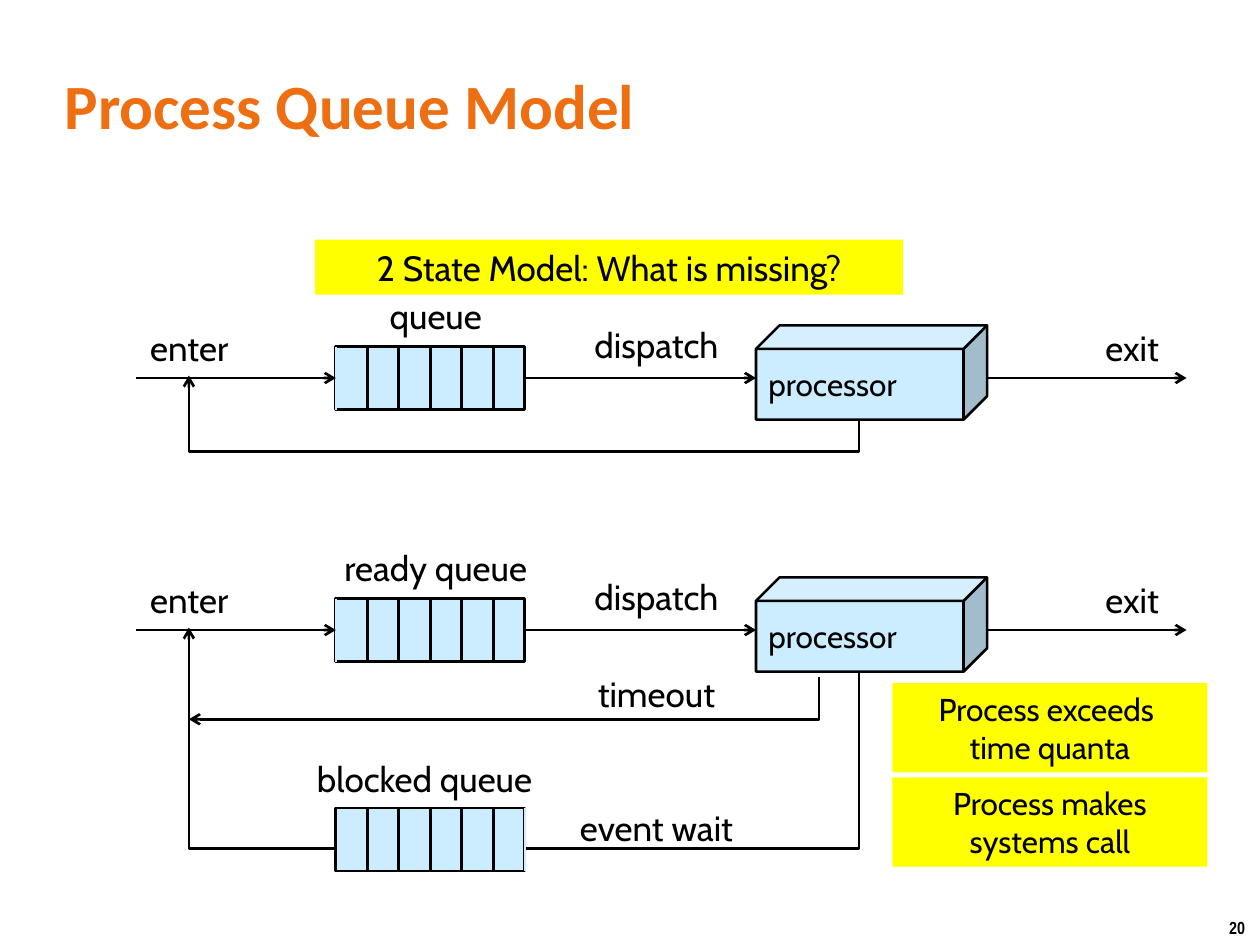
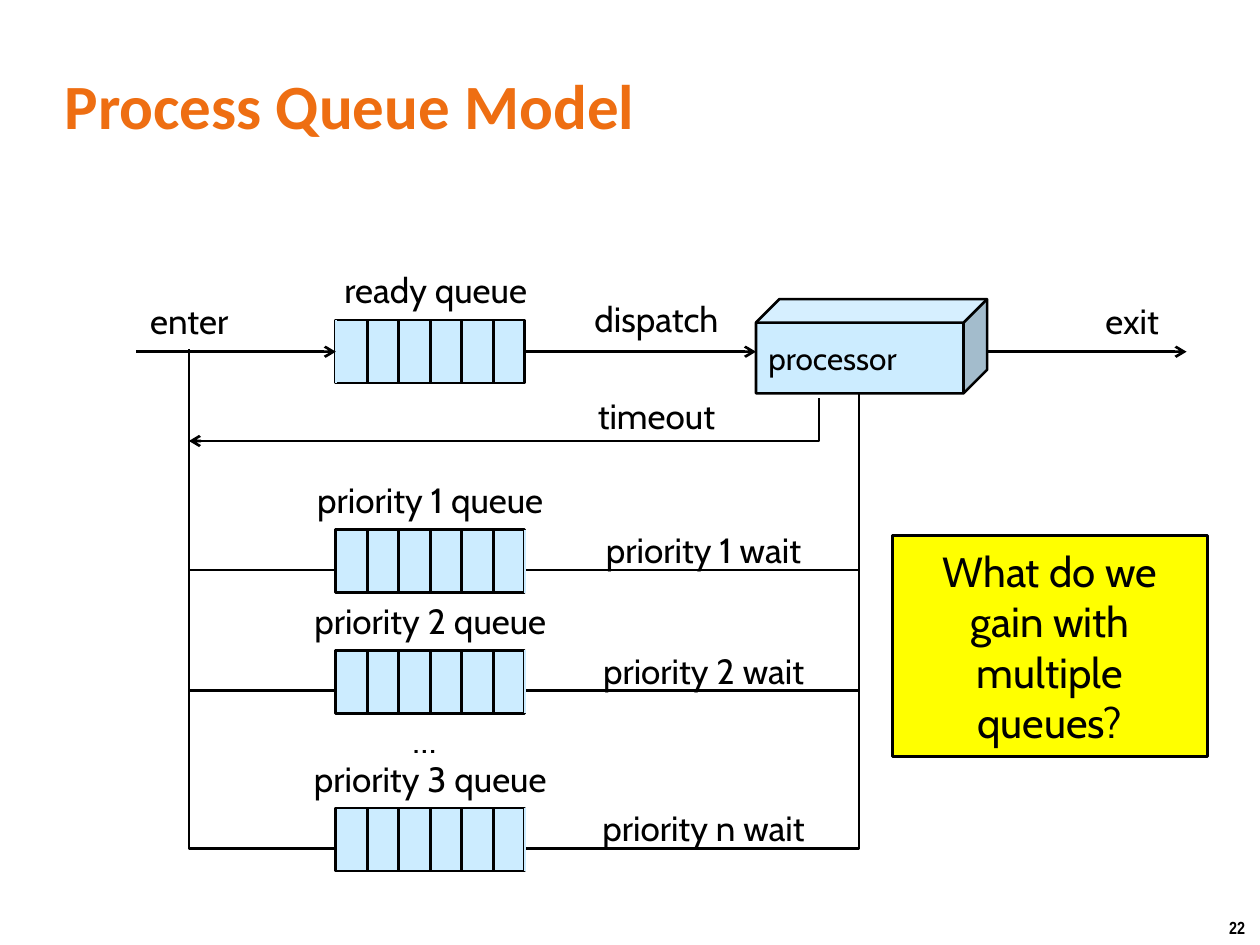
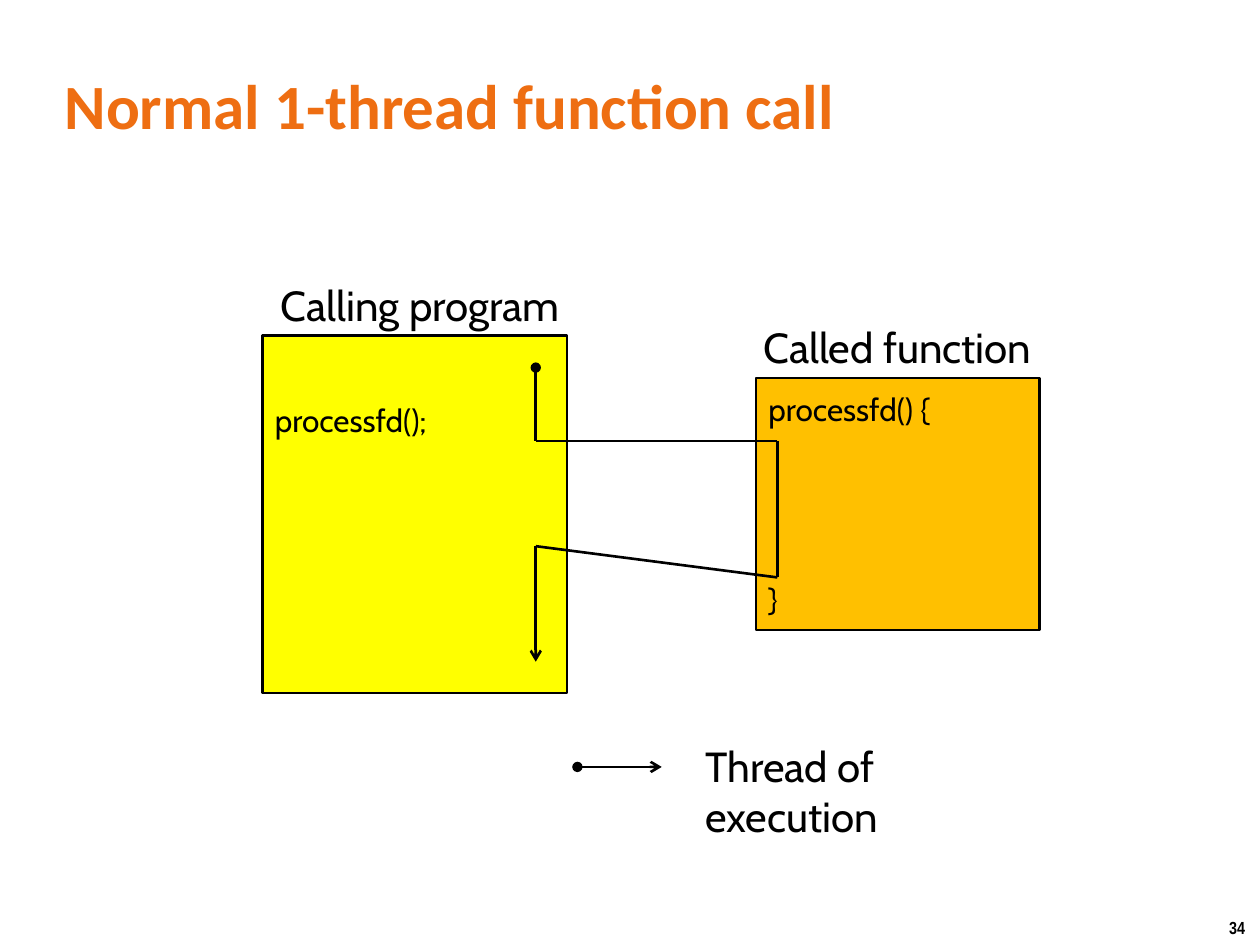
from lxml.etree import SubElement
from pptx import Presentation
from pptx.dml.color import RGBColor
from pptx.enum.shapes import MSO_CONNECTOR, MSO_SHAPE
from pptx.enum.text import MSO_ANCHOR, MSO_AUTO_SIZE, PP_ALIGN
from pptx.oxml.ns import qn
from pptx.util import Cm, Pt

BLACK = RGBColor(0x00, 0x00, 0x00)
ORANGE = RGBColor(0xEE, 0x6E, 0x12)
PALE_BLUE = RGBColor(0xCC, 0xEC, 0xFF)
YELLOW = RGBColor(0xFF, 0xFF, 0x00)
AMBER = RGBColor(0xFF, 0xC0, 0x00)
BODY_FONT = "Cabin"
TITLE_FONT = "Calibri"
NUMBER_FONT = "Arial Narrow"

# Content, all lengths in centimetres
QUEUE_TITLE = "Process Queue Model"
QUEUE_SLIDES = [
    {
        "number": "20",
        # flow axis, queue label, has timeout
        "flows": [(12.7, "ready queue", True), (7.62, "queue", False)],
        # height of the rail, its drop below the processor, arrowhead
        "returns": [(17.1, 3.56, True), (9.1, 0.64, True)],
        # rail, queue label, its width, wait label, its width
        "waiting": [(17.1, "blocked queue", 5.28, "event wait", 4.45)],
        "labels": [],
        # box, lines, size, outlined
        "notes": [
            ((6.35, 4.83, 11.86, 1.11), ["2 State Model: What is missing?"], 20, False),
            ((17.99, 13.77, 6.35, 1.8), ["Process exceeds ", "time quanta"], 18, False),
            ((17.99, 15.67, 6.35, 1.8), ["Process makes systems call"], 18, False),
        ],
    },
    {
        "number": "22",
        "flows": [(7.09, "ready queue", True)],
        "returns": [(11.49, 3.56, False), (13.92, 3.56, False), (17.1, 3.56, False)],
        "waiting": [
            (11.49, "priority 1 queue", 5.51, "priority 1 wait", 6.35),
            (13.92, "priority 2 queue", 5.51, "priority 2 wait", 6.35),
            (17.1, "priority 3 queue", 5.51, "priority n wait", 6.35),
        ],
        "labels": [("…", (5.92, 14.35, 5.28, 1.11))],
        "notes": [
            ((17.99, 10.8, 6.35, 4.45), ["What do we gain with multiple queues?"], 24, True),
        ],
    },
]

CALL_TITLE = "Normal 1-thread function call"
CALL_NUMBER = "34"
# box, fill, code lines, top margin, gap between lines in points
CODE_BOXES = [
    ((5.29, 6.77, 6.14, 7.2), YELLOW, ["processfd();"], 1.32, 0),
    ((15.24, 7.62, 5.72, 5.08), AMBER, ["processfd() {", "}"], 0.25, 86.5),
]
CODE_LABELS = [
    ("Calling program", (4.98, 5.5, 6.98, 1.27)),
    ("Called function", (14.6, 6.35, 6.98, 1.27)),
]
THREAD_POINTS = [(10.8, 7.41), (10.8, 8.89), (15.67, 8.89), (15.67, 11.64),
                 (10.8, 11.01), (10.8, 13.34)]
LEGEND_LINE = ((11.64, 15.46), (13.34, 15.46))
LEGEND_TEXT = ("Thread of execution", (13.97, 14.8, 6.98, 1.27))

# Fixed columns of the queue diagram
ENTER_X, RETURN_X = 2.75, 3.81
QUEUE_X, QUEUE_WIDTH, QUEUE_HEIGHT, CELLS = 6.77, 3.81, 1.27, 6
WAIT_X = 11.01
PROCESSOR_X, PROCESSOR_RIGHT = 15.24, 19.9
TIMEOUT_X, BLOCK_X = 16.51, 17.32
EXIT_X = 23.92
RETURN_RISE = 0.89


def lengths(box):
    return [Cm(value) for value in box]


def write(shape, lines, size, align=PP_ALIGN.LEFT, anchor=MSO_ANCHOR.TOP,
          font=BODY_FONT, color=BLACK, bold=False, wrap=True, gap=None):
    """Write lines into one paragraph, or into one paragraph each with a gap."""
    frame = shape.text_frame
    frame.auto_size = MSO_AUTO_SIZE.NONE
    frame.word_wrap = wrap
    frame.vertical_anchor = anchor
    paragraph = frame.paragraphs[0]
    for index, line in enumerate(lines):
        if index and gap is None:
            paragraph.add_line_break()
        elif index:
            paragraph = frame.add_paragraph()
            paragraph.space_before = Pt(gap)
        paragraph.alignment = align
        run = paragraph.add_run()
        run.text = line
        run.font.name = font
        run.font.size = Pt(size)
        run.font.bold = bold
        run.font.color.rgb = color


def add_label(slide, text, box, size=20, align=PP_ALIGN.CENTER, wrap=False, **style):
    write(slide.shapes.add_textbox(*lengths(box)), [text], size, align, wrap=wrap, **style)


def add_box(slide, box, fill, kind=MSO_SHAPE.RECTANGLE, outlined=True):
    shape = slide.shapes.add_shape(kind, *lengths(box))
    shape.shadow.inherit = False
    shape.fill.solid()
    shape.fill.fore_color.rgb = fill
    if outlined:
        shape.line.color.rgb = BLACK
        shape.line.width = Pt(1.5)
    else:
        shape.line.fill.background()
    return shape


def add_line(slide, start, end, color=BLACK, head=None, tail=None,
             kind=MSO_CONNECTOR.STRAIGHT):
    connector = slide.shapes.add_connector(kind, *lengths(start + end))
    connector.line.color.rgb = color
    connector.line.width = Pt(1.5)
    properties = connector._element.spPr
    outline = properties.find(qn("a:ln"))
    for tag, ending in (("a:headEnd", head), ("a:tailEnd", tail)):
        if ending:
            SubElement(outline, qn(tag), type=ending)
    SubElement(properties, qn("a:effectLst"))
    return connector


def bend(connector, share):
    """Place the elbow at a share of the connector's length."""
    geometry = connector._element.spPr.find(qn("a:prstGeom"))
    adjustments = geometry.find(qn("a:avLst"))
    if adjustments is None:
        adjustments = SubElement(geometry, qn("a:avLst"))
    SubElement(adjustments, qn("a:gd"), name="adj1", fmla=f"val {round(share * 100000)}")


def add_slide(presentation, title, number):
    slide = presentation.slides.add_slide(presentation.slide_layouts[5])
    shape = slide.shapes.title
    shape.left, shape.top, shape.width, shape.height = lengths((1.05, 1.05, 23.28, 2.12))
    write(shape, [title], 36, anchor=MSO_ANCHOR.MIDDLE,
          font=TITLE_FONT, color=ORANGE, bold=True)
    add_label(slide, number, (24.53, 18.36, 0.87, 0.69), 10, PP_ALIGN.LEFT,
              font=NUMBER_FONT, bold=True)
    return slide


def add_queue(slide, top, open_left):
    add_box(slide, (QUEUE_X, top, QUEUE_WIDTH, QUEUE_HEIGHT), PALE_BLUE)
    open_edge = 0 if open_left else CELLS
    for edge in [*range(1, CELLS), open_edge]:
        x = QUEUE_X + edge * QUEUE_WIDTH / CELLS
        add_line(slide, (x, top), (x, top + QUEUE_HEIGHT),
                 PALE_BLUE if edge == open_edge else BLACK)


def add_flow(slide, axis, queue_label, has_timeout):
    """Draw enter, queue, dispatch, processor and exit along one axis."""
    add_queue(slide, axis - QUEUE_HEIGHT / 2, open_left=True)
    processor = add_box(slide, (PROCESSOR_X, axis - 1.06, PROCESSOR_RIGHT - PROCESSOR_X, 1.9),
                        PALE_BLUE, MSO_SHAPE.CUBE)
    write(processor, ["processor"], 18, anchor=MSO_ANCHOR.MIDDLE)
    for start, end in ((ENTER_X, QUEUE_X), (QUEUE_X + QUEUE_WIDTH, PROCESSOR_X),
                       (PROCESSOR_RIGHT, EXIT_X)):
        add_line(slide, (start, axis), (end, axis), tail="arrow")
    add_label(slide, "enter", (ENTER_X, axis - 1.17, 2.13, 1.11))
    add_label(slide, "exit", (22.01, axis - 1.17, 1.63, 1.11))
    add_label(slide, "dispatch", (WAIT_X, axis - 1.22, 4.45, 1.11))
    add_label(slide, queue_label, (6.56, axis - 1.8, 4.45, 1.11))
    if has_timeout:
        timeout = add_line(slide, (TIMEOUT_X, axis + 0.94), (RETURN_X, axis + 1.8),
                           tail="arrow", kind=MSO_CONNECTOR.ELBOW)
        bend(timeout, 0)
        add_label(slide, "timeout", (WAIT_X, axis + 0.74, 4.45, 1.11))


def add_return(slide, rail, drop, has_arrow):
    """Draw a U-shaped line: down to the rail, left, and up; a turned elbow."""
    span = BLOCK_X - RETURN_X
    middle_x, middle_y = (BLOCK_X + RETURN_X) / 2, rail - drop - RETURN_RISE / 2
    left, right = middle_x - RETURN_RISE / 2, middle_x + RETURN_RISE / 2
    connector = add_line(slide, (right, middle_y - span / 2), (left, middle_y + span / 2),
                         tail="arrow" if has_arrow else None, kind=MSO_CONNECTOR.ELBOW)
    connector._element.spPr.find(qn("a:xfrm")).set("rot", "5400000")
    bend(connector, -drop / RETURN_RISE)


def build_queue_slide(presentation, content):
    slide = add_slide(presentation, QUEUE_TITLE, content["number"])
    for flow in content["flows"]:
        add_flow(slide, *flow)
    for line in content["returns"]:
        add_return(slide, *line)
    for rail, queue_label, queue_width, wait_label, wait_width in content["waiting"]:
        add_queue(slide, rail - 0.81, open_left=False)
        add_label(slide, queue_label, (5.92, rail - 1.96, queue_width, 1.11))
        add_label(slide, wait_label, (WAIT_X, rail - 0.96, wait_width, 1.11))
    for text, box in content["labels"]:
        add_label(slide, text, box)
    for box, lines, size, outlined in content["notes"]:
        note = add_box(slide, box, YELLOW, outlined=outlined)
        write(note, lines, size, PP_ALIGN.CENTER, MSO_ANCHOR.MIDDLE)


def build_call_slide(presentation):
    slide = add_slide(presentation, CALL_TITLE, CALL_NUMBER)
    for box, fill, lines, margin, gap in CODE_BOXES:
        code = add_box(slide, box, fill)
        code.text_frame.margin_top = Cm(margin)
        write(code, lines, 18, gap=gap)
    for text, box in CODE_LABELS:
        add_label(slide, text, box, 24)
    # Thread of execution, and its legend
    last = len(THREAD_POINTS) - 2
    for index, (start, end) in enumerate(zip(THREAD_POINTS, THREAD_POINTS[1:])):
        add_line(slide, start, end, head="oval" if index == 0 else None,
                 tail="arrow" if index == last else None)
    add_line(slide, *LEGEND_LINE, head="oval", tail="arrow")
    add_label(slide, *LEGEND_TEXT, 24, PP_ALIGN.LEFT, wrap=True)


def main():
    presentation = Presentation()
    presentation.slide_width, presentation.slide_height = Cm(25.4), Cm(19.05)
    for content in QUEUE_SLIDES:
        build_queue_slide(presentation, content)
    build_call_slide(presentation)
    presentation.save("out.pptx")


if __name__ == "__main__":
    main()
